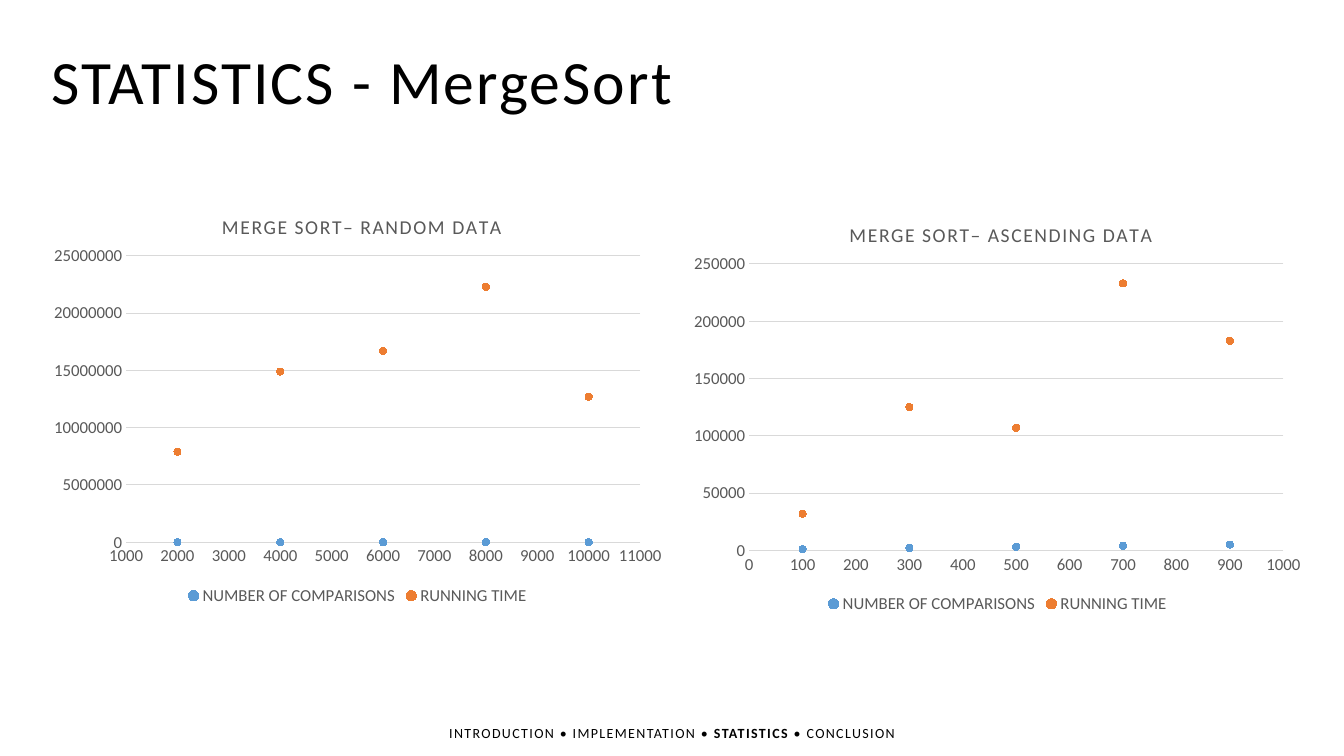
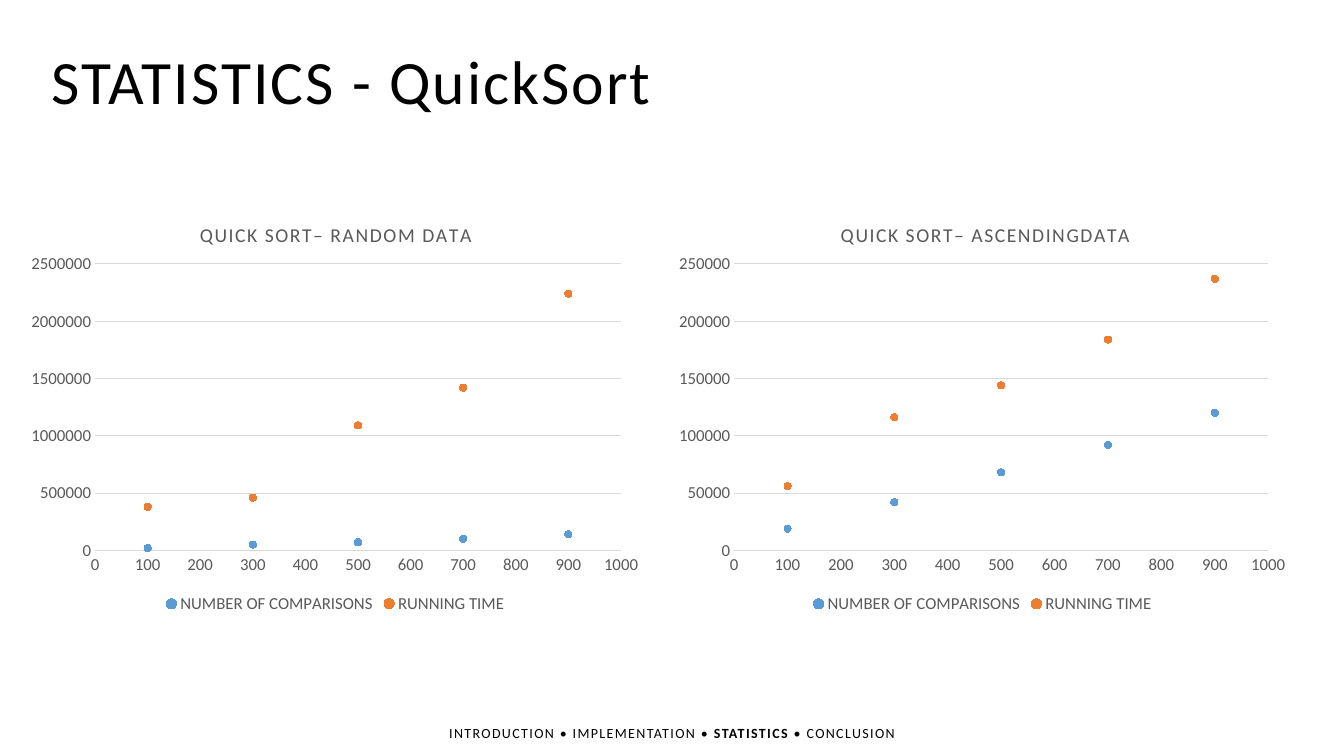
import dataclasses

import lxml.etree
import pptx
import pptx.chart.data
import pptx.dml.color
import pptx.enum.chart
import pptx.enum.text
import pptx.oxml.ns
import pptx.util

qn = pptx.oxml.ns.qn
rgb = pptx.dml.color.RGBColor.from_string
Pt = pptx.util.Pt


@dataclasses.dataclass(frozen=True)
class Theme:
    font: str = "Calibri"
    ink: str = "000000"
    muted: str = "595959"
    grid: str = "D9D9D9"
    series: tuple = ("5B9BD5", "ED7D31")
    title_size: int = 44
    chart_title_size: int = 14
    label_size: int = 12
    footer_size: int = 10
    hairline: float = 0.75
    marker_size: int = 5


@dataclasses.dataclass(frozen=True)
class Panel:
    title: str
    box: tuple
    title_left: float
    plot: tuple
    x_values: tuple
    x_scale: tuple
    y_scale: tuple
    comparisons: tuple
    times: tuple


THEME = Theme()
COLS = ROWS = 100
CHART_W, CHART_H = 47.04, 55.73
UPPER, LOWER = 24.93, 26
LEFT = 3.08
SECTIONS = ("INTRODUCTION", "IMPLEMENTATION", "STATISTICS", "CONCLUSION")
SERIES_NAMES = ("NUMBER OF COMPARISONS", "RUNNING TIME")
HUNDREDS = (100, 300, 500, 700, 900)
THOUSANDS = (2000, 4000, 6000, 8000, 10000)
TO_1000 = (0, 1000, 100)

prs = pptx.Presentation()
prs.slide_width = pptx.util.Inches(13.33)
prs.slide_height = pptx.util.Inches(7.5)


def place(box):
    x, y, w, h = box
    col, row = prs.slide_width / COLS, prs.slide_height / ROWS
    return int(x * col), int(y * row), int(w * col), int(h * row)


def style_font(font, size, color):
    font.name = THEME.font
    font.size = Pt(size)
    font.bold = False
    font.color.rgb = rgb(color)


def space_letters(p, points):
    for r in p.runs:
        r.font._element.set("spc", str(int(points * 100)))


def fit_text(tf):
    tf.word_wrap = False
    tf.auto_size = pptx.enum.text.MSO_AUTO_SIZE.SHAPE_TO_FIT_TEXT
    tf.vertical_anchor = pptx.enum.text.MSO_ANCHOR.TOP


def add_title(s, text, box):
    sp = s.shapes.title
    sp.left, sp.top, sp.width, sp.height = place(box)
    tf = sp.text_frame
    fit_text(tf)
    p = tf.paragraphs[0]
    p.text = text
    p.alignment = pptx.enum.text.PP_ALIGN.LEFT
    style_font(p.font, THEME.title_size, THEME.ink)
    space_letters(p, 1.5)


def add_footer(s, current, box):
    tf = s.shapes.add_textbox(*place(box)).text_frame
    fit_text(tf)
    p = tf.paragraphs[0]
    p.alignment = pptx.enum.text.PP_ALIGN.CENTER
    style_font(p.font, THEME.footer_size, THEME.ink)
    before, after = " \u2022 ".join(SECTIONS).split(current)
    for text in (before, current, after):
        r = p.add_run()
        r.text = text
        r.font.bold = text == current
    space_letters(p, 1)


def set_layout(element, index, **shares):
    for old in element.findall(qn("c:layout")):
        element.remove(old)
    layout = lxml.etree.Element(qn("c:layout"))
    manual = lxml.etree.SubElement(layout, qn("c:manualLayout"))
    if "w" in shares:
        shares = {"layoutTarget": "inner", "xMode": "edge", "yMode": "edge", **shares}
    else:
        shares = {"xMode": "edge", "yMode": "edge", **shares}
    for name, value in shares.items():
        lxml.etree.SubElement(manual, qn("c:" + name)).set("val", str(value))
    element.insert(index, layout)


def style_axis(axis, scale):
    axis.minimum_scale, axis.maximum_scale, axis.major_unit = scale
    axis.major_tick_mark = axis.minor_tick_mark = pptx.enum.chart.XL_TICK_MARK.NONE
    axis.has_major_gridlines = False
    axis.crosses = pptx.enum.chart.XL_AXIS_CROSSES.MINIMUM
    axis.tick_labels.number_format = "General"
    axis.tick_labels.number_format_is_linked = False
    style_font(axis.tick_labels.font, THEME.label_size, THEME.muted)
    axis.format.line.fill.background()


def draw_line(line):
    line.color.rgb = rgb(THEME.grid)
    line.width = Pt(THEME.hairline)


def style_series(series, color):
    series.format.line.fill.background()
    series.smooth = False
    marker = series.marker
    marker.style = pptx.enum.chart.XL_MARKER_STYLE.CIRCLE
    marker.size = THEME.marker_size
    marker.format.fill.solid()
    marker.format.fill.fore_color.rgb = rgb(color)
    marker.format.line.color.rgb = rgb(color)


def add_scatter(s, panel, base_line):
    data = pptx.chart.data.XyChartData()
    for name, values in zip(SERIES_NAMES, (panel.comparisons, panel.times)):
        series = data.add_series(name)
        for x, y in zip(panel.x_values, values):
            series.add_data_point(x, y)
    kind = pptx.enum.chart.XL_CHART_TYPE.XY_SCATTER
    chart = s.shapes.add_chart(kind, *place(panel.box), data).chart
    style_font(chart.font, THEME.footer_size, THEME.ink)

    chart.has_title = True
    p = chart.chart_title.text_frame.paragraphs[0]
    p.text = panel.title
    style_font(p.font, THEME.chart_title_size, THEME.muted)
    space_letters(p, 1)
    chart.chart_title.include_in_layout = False
    set_layout(chart.chart_title._element, 1, x=panel.title_left, y=0.05)

    left, right = panel.plot
    set_layout(chart.element.chart.plotArea, 0,
               x=left, y=0.16, w=round(right - left, 3), h=0.68)
    style_axis(chart.category_axis, panel.x_scale)
    style_axis(chart.value_axis, panel.y_scale)
    chart.value_axis.has_major_gridlines = True
    draw_line(chart.value_axis.major_gridlines.format.line)
    if base_line:
        draw_line(chart.category_axis.format.line)

    chart.has_legend = True
    chart.legend.position = pptx.enum.chart.XL_LEGEND_POSITION.BOTTOM
    chart.legend.include_in_layout = False
    style_font(chart.legend.font, THEME.label_size, THEME.muted)
    chart.plots[0].vary_by_categories = False
    for series, color in zip(chart.plots[0].series, THEME.series):
        style_series(series, color)


def add_statistics_slide(algorithm, title_w, panels, base_line):
    s = prs.slides.add_slide(prs.slide_layouts.get_by_name("Title Only"))
    add_title(s, "STATISTICS - " + algorithm, (LEFT, 5.07, title_w, 11.2))
    footer_w = 35.33
    add_footer(s, "STATISTICS", ((COLS - footer_w) / 2, 95.2, footer_w, 3.6))
    for panel in panels:
        add_scatter(s, panel, base_line)


merge_panels = (
    Panel("MERGE SORT\u2013 RANDOM DATA", (LEFT, UPPER, CHART_W, CHART_H),
          0.28, (0.134, 0.947), THOUSANDS, (1000, 11000, 1000),
          (0, 25000000, 5000000), (0, 0, 0, 0, 0),
          (7900000, 14900000, 16700000, 22300000, 12700000)),
    Panel("MERGE SORT\u2013 ASCENDING DATA", (50.71, LOWER, CHART_W, CHART_H),
          0.26, (0.107, 0.952), HUNDREDS, TO_1000,
          (0, 250000, 50000), (1000, 2000, 3000, 4000, 5000),
          (32000, 125000, 107000, 233000, 183000)),
)
quick_panels = (
    Panel("QUICK SORT\u2013 RANDOM DATA", (1.43, LOWER, CHART_W, CHART_H),
          0.28, (0.12, 0.952), HUNDREDS, TO_1000,
          (0, 2500000, 500000), (20000, 50000, 70000, 100000, 140000),
          (380000, 460000, 1090000, 1420000, 2240000)),
    Panel("QUICK SORT\u2013 ASCENDINGDATA", (49.59, LOWER, CHART_W, CHART_H),
          0.27, (0.107, 0.952), HUNDREDS, TO_1000,
          (0, 250000, 50000), (19000, 42000, 68000, 92000, 120000),
          (56000, 116000, 144000, 184000, 237000)),
)

add_statistics_slide("MergeSort", 48.39, merge_panels, base_line=False)
add_statistics_slide("QuickSort", 46.81, quick_panels, base_line=True)
prs.save("out.pptx")
